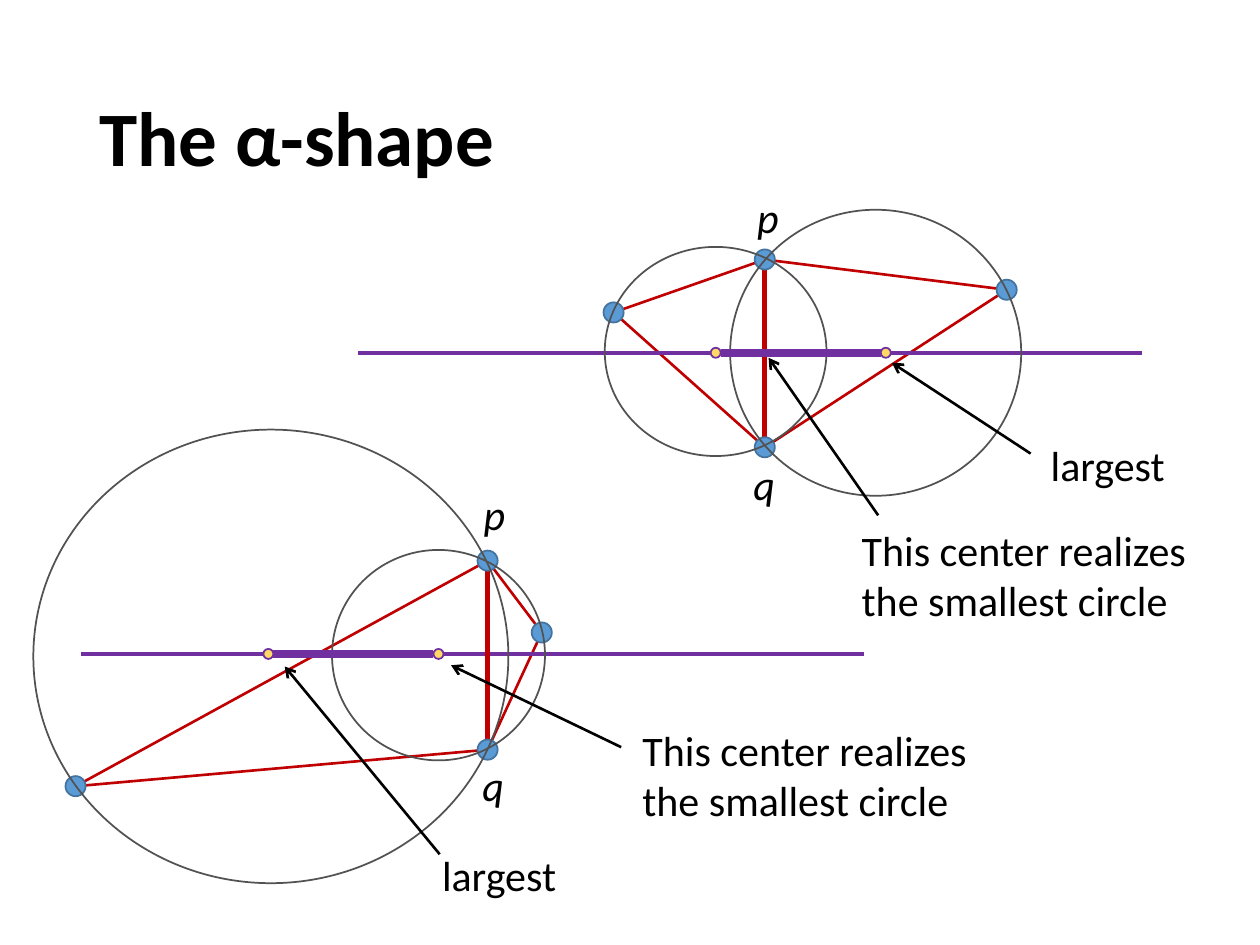
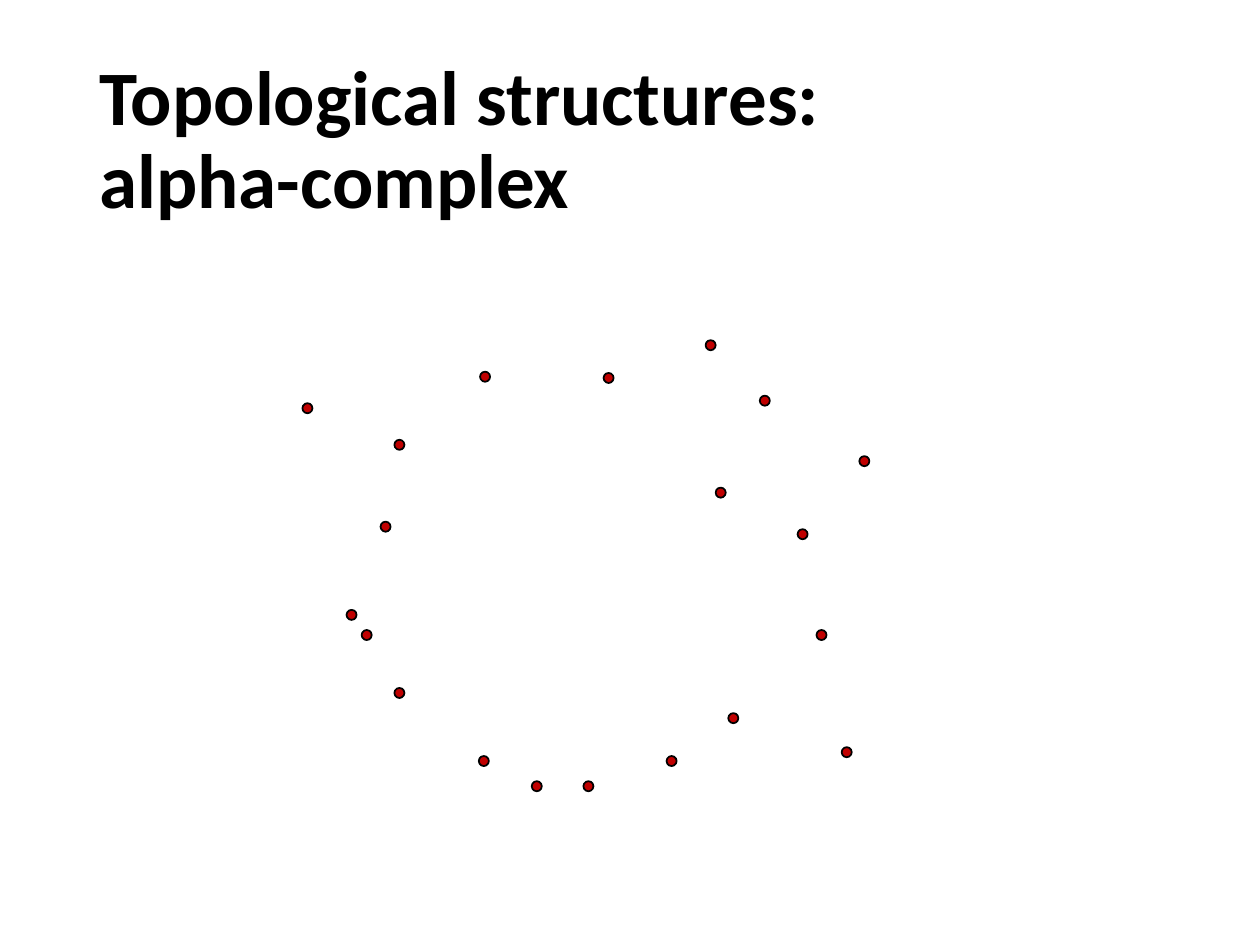
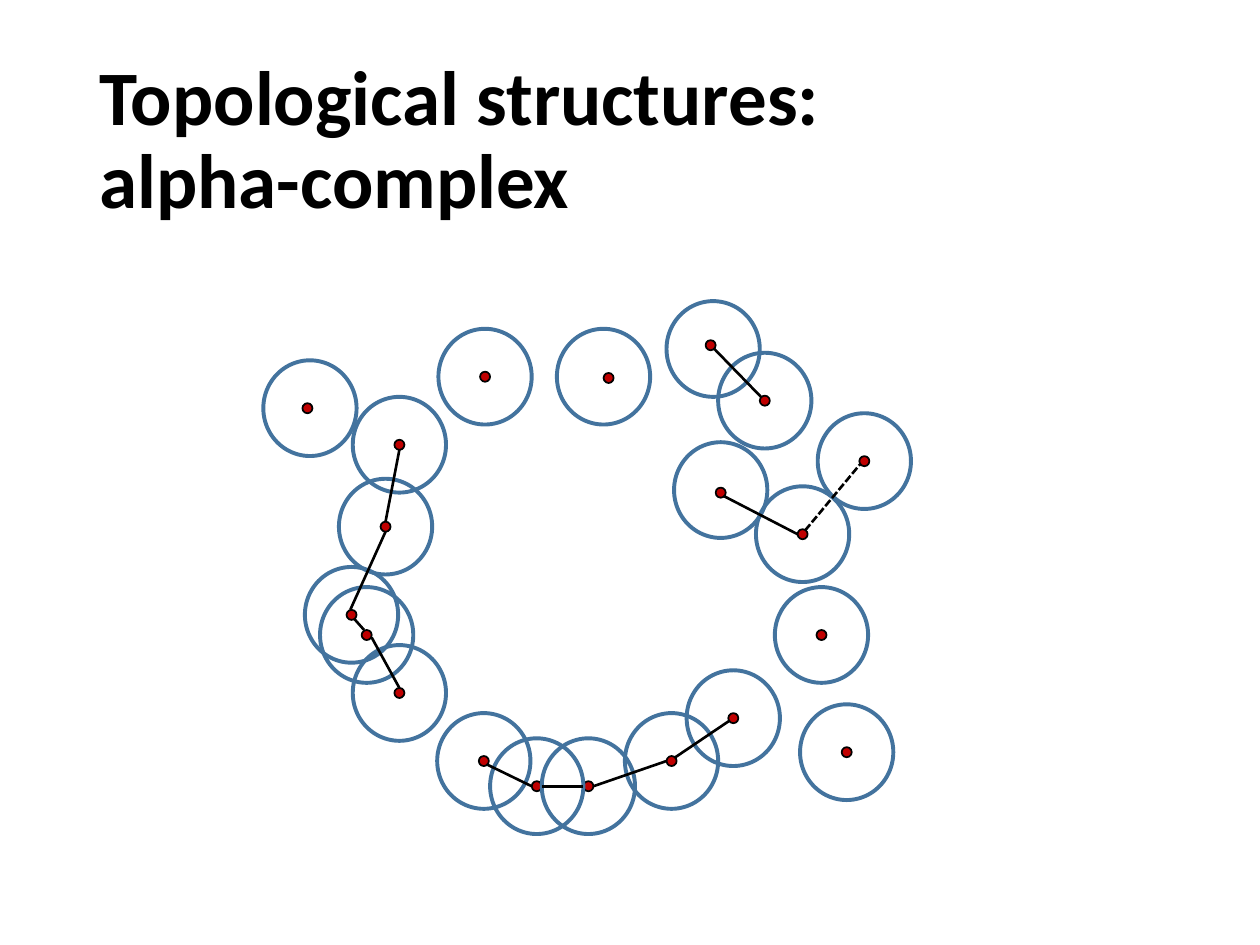
"""Build three slides on the alpha-shape and the alpha-complex."""
from lxml import etree
from pptx import Presentation
from pptx.dml.color import RGBColor
from pptx.enum.dml import MSO_LINE
from pptx.enum.shapes import MSO_CONNECTOR, MSO_SHAPE
from pptx.enum.text import MSO_ANCHOR, MSO_AUTO_SIZE, PP_ALIGN
from pptx.oxml.ns import qn
from pptx.util import Inches, Pt

OVAL = MSO_SHAPE.OVAL
STRAIGHT = MSO_CONNECTOR.STRAIGHT
DASHED = MSO_LINE.SQUARE_DOT
MIDDLE = MSO_ANCHOR.MIDDLE
NO_AUTOFIT = MSO_AUTO_SIZE.NONE
LEFT = PP_ALIGN.LEFT

BLACK = RGBColor(0x00, 0x00, 0x00)
RED = RGBColor(0xC0, 0x00, 0x00)
PURPLE = RGBColor(0x70, 0x30, 0xA0)
GRAY = RGBColor(0x52, 0x52, 0x52)
BLUE = RGBColor(0x5B, 0x9B, 0xD5)
DARK_BLUE = RGBColor(0x43, 0x73, 0x9E)
YELLOW = RGBColor(0xFF, 0xD9, 0x66)

FONT = "Calibri"
SITE_SIZE = 0.16
DOT_SIZE = 0.08
RING_WIDTH, RING_HEIGHT = 0.74, 0.76


def add_oval(slide, center, width, height, fill, color, weight=1):
    x, y = center
    oval = slide.shapes.add_shape(OVAL, Inches(x - width / 2), Inches(y - height / 2),
                                  Inches(width), Inches(height))
    oval.shadow.inherit = False
    if fill is None:
        oval.fill.background()
    else:
        oval.fill.solid()
        oval.fill.fore_color.rgb = fill
    oval.line.color.rgb = color
    oval.line.width = Pt(weight)


def add_line(slide, start, end, color, weight, arrow=False):
    line = slide.shapes.add_connector(STRAIGHT, *map(Inches, start + end))
    line.line.color.rgb = color
    line.line.width = Pt(weight)
    properties = line._element.spPr
    if arrow:
        etree.SubElement(properties.find(qn("a:ln")), qn("a:tailEnd"), type="arrow")
    etree.SubElement(properties, qn("a:effectLst"))
    return line


deck = Presentation()
deck.slide_width, deck.slide_height = Inches(10), Inches(7.5)

slides = []
for heading in ["The α-shape"] + ["Topological structures: \valpha-complex"] * 2:
    slide = deck.slides.add_slide(deck.slide_layouts[5])
    title = slide.shapes.title
    title.left, title.top = Inches(0.69), Inches(0.4)
    title.width, title.height = Inches(8.62), Inches(1.45)
    frame = title.text_frame
    frame.text = heading
    frame.auto_size = NO_AUTOFIT
    frame.vertical_anchor = MIDDLE
    para = frame.paragraphs[0]
    para.alignment = LEFT
    para.line_spacing = 0.9
    for span in para.runs:
        span.font.name, span.font.size, span.font.bold = FONT, Pt(44), True
        span.font.color.rgb = BLACK
    slides.append(slide)
shape_slide, points_slide, complex_slide = slides

# Sites run left, p, right, q; circles are center x, center y, width, height.
figures = [
    {"sites": [(0.6, 6.24), (3.87, 4.45), (4.3, 5.02), (3.87, 5.95)],
     "circles": [(2.15, 5.21, 3.77, 3.6), (3.48, 5.2, 1.69, 1.67)],
     "bisector": (0.64, 6.86, 5.19), "centers": (2.13, 3.48)},
    {"sites": [(4.87, 2.48), (6.07, 2.06), (7.99, 2.3), (6.07, 3.55)],
     "circles": [(6.95, 2.8, 2.31, 2.27), (5.68, 2.79, 1.76, 1.66)],
     "bisector": (2.84, 9.06, 2.8), "centers": (5.68, 7.03)},
]
for figure in figures:
    corners = [(Inches(x), Inches(y)) for x, y in figure["sites"]]
    builder = shape_slide.shapes.build_freeform(*corners[0])
    builder.add_line_segments(corners[1:], close=True)
    triangles = builder.convert_to_shape()
    triangles.shadow.inherit = False
    triangles.fill.background()
    triangles.line.color.rgb = RED
    triangles.line.width = Pt(1.5)

    start, end, level = figure["bisector"]
    add_line(shape_slide, (end, level), (start, level), PURPLE, 2.25)
    (p_x, p_y), (q_x, q_y) = figure["sites"][1::2]
    add_line(shape_slide, (p_x, p_y + SITE_SIZE / 2), (q_x, q_y - SITE_SIZE / 2), RED, 3)
    for site in figure["sites"]:
        add_oval(shape_slide, site, SITE_SIZE, SITE_SIZE, BLUE, DARK_BLUE)
    for x, y, width, height in figure["circles"]:
        add_oval(shape_slide, (x, y), width, height, None, GRAY)
    first, last = figure["centers"]
    add_line(shape_slide, (last - DOT_SIZE / 2, level), (first + DOT_SIZE / 2, level), PURPLE, 4.5)
    for x in figure["centers"]:
        add_oval(shape_slide, (x, level), DOT_SIZE, DOT_SIZE, YELLOW, PURPLE)

for start, end in [((4.93, 5.93), (3.58, 5.28)), ((6.97, 4.09), (6.1, 2.84)),
                   ((8.18, 3.6), (7.08, 2.88)), ((3.49, 6.78), (2.26, 5.29))]:
    add_line(shape_slide, start, end, BLACK, 1.5, arrow=True)

smallest = "This center realizes the smallest circle"
labels = [
    ("p", 5.91, 1.47, 0.38, 0.51), ("q", 5.88, 3.59, 0.38, 0.51),
    ("p", 3.74, 3.83, 0.38, 0.51), ("q", 3.73, 5.98, 0.38, 0.51),
    (smallest, 6.74, 4.11, 2.91, 0.91), (smallest, 5, 5.7, 3.21, 0.91),
    ("largest", 8.24, 3.44, 1.12, 0.51), ("largest", 3.41, 6.69, 1.12, 0.51),
]
for text, *place in labels:
    box = shape_slide.shapes.add_textbox(*map(Inches, place))
    box.text_frame.word_wrap = text == smallest
    box.text_frame.text = text
    span = box.text_frame.paragraphs[0].runs[0]
    span.font.name, span.font.size = FONT, Pt(24)
    span.font.italic = text in ("p", "q")
    span.font.color.rgb = BLACK

points = [
    (5.72, 3.91), (2.44, 3.24), (3.84, 6.04), (4.67, 6.24), (5.33, 6.04),
    (5.82, 5.7), (6.72, 5.97), (6.52, 5.04), (6.37, 4.24), (6.86, 3.66),
    (6.07, 3.18), (5.64, 2.74), (4.83, 3), (3.85, 2.99), (3.17, 3.53),
    (3.06, 4.18), (2.79, 4.88), (2.91, 5.04), (3.17, 5.5), (4.26, 6.24),
]
for slide in (points_slide, complex_slide):
    for point in points:
        add_oval(slide, point, DOT_SIZE, DOT_SIZE, RED, BLACK)

ring_shifts = {(5.72, 3.91): (0, -0.02), (2.44, 3.24): (0.02, 0),
               (5.64, 2.74): (0.02, 0.03), (4.83, 3): (-0.04, -0.01)}
for x, y in points:
    shift_x, shift_y = ring_shifts.get((x, y), (0, 0))
    add_oval(complex_slide, (x + shift_x, y + shift_y), RING_WIDTH, RING_HEIGHT,
             None, DARK_BLUE, 2.25)

edges = [
    ((5.67, 2.77), (6.04, 3.15)), ((2.78, 4.84), (3.06, 4.22)),
    ((2.89, 5), (2.81, 4.91)), ((3.17, 5.46), (2.95, 5.06)),
    ((3.06, 4.14), (3.17, 3.57)), ((3.87, 6.07), (4.22, 6.24)),
    ((4.3, 6.24), (4.63, 6.24)), ((5.75, 3.94), (6.33, 4.24)),
    ((5.36, 6.01), (5.79, 5.72)), ((4.71, 6.24), (5.29, 6.04)),
]
for start, end in edges:
    add_line(complex_slide, start, end, BLACK, 1.5)
touching_edge = add_line(complex_slide, (6.39, 4.21), (6.83, 3.68), BLACK, 1.5)
touching_edge.line.dash_style = DASHED

deck.save("out.pptx")
